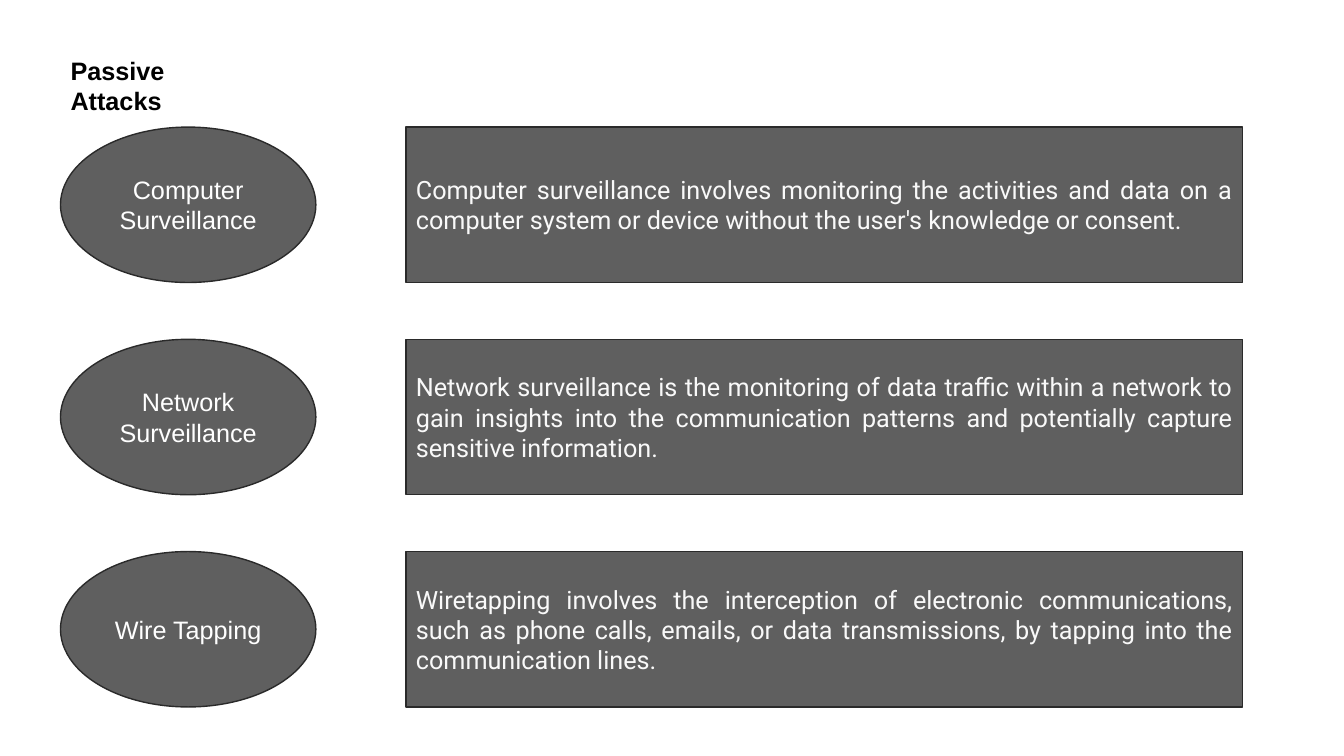
"""Build the Passive Attacks slide: three ellipses, each beside its description."""
from pptx import Presentation
from pptx.dml.color import RGBColor
from pptx.enum import shapes, text
from pptx.util import Pt

BLACK = RGBColor(0x00, 0x00, 0x00)
WHITE = RGBColor(0xFF, 0xFF, 0xFF)
PALE = RGBColor(0xF9, 0xF9, 0xF9)
GREY = RGBColor(0x5F, 0x5F, 0x5F)
DARK = RGBColor(0x2A, 0x2A, 0x2A)

LEFT, TOP, STEP, HIGH = 43.2, 90.8, 151.6, 111

ATTACKS = [
    ("Computer Surveillance",
     "Computer surveillance involves monitoring the activities and data on a "
     "computer system or device without the user's knowledge or consent."),
    ("Network Surveillance",
     "Network surveillance is the monitoring of data traffic within a network to "
     "gain insights into the communication patterns and potentially capture "
     "sensitive information."),
    ("Wire Tapping",
     "Wiretapping involves the interception of electronic communications, such as "
     "phone calls, emails, or data transmissions, by tapping into the "
     "communication lines."),
]


def write(shape, words, face, color, align, anchor):
    frame = shape.text_frame
    frame.text = words
    frame.word_wrap = True
    frame.auto_size = text.MSO_AUTO_SIZE.NONE
    frame.vertical_anchor = anchor
    para = frame.paragraphs[0]
    para.alignment = align
    font = para.runs[0].font
    font.name, font.size, font.color.rgb = face, Pt(18), color
    return font


def block(kind, left, top, width):
    shape = slide.shapes.add_shape(kind, Pt(left), Pt(top), Pt(width), Pt(HIGH))
    shape.shadow.inherit = False
    shape.fill.solid()
    shape.fill.fore_color.rgb = GREY
    shape.line.color.rgb = DARK
    shape.line.width = Pt(1)
    return shape


deck = Presentation()
deck.slide_width, deck.slide_height = Pt(960), Pt(540)
slide = deck.slides.add_slide(deck.slide_layouts[5])

title = slide.shapes.title
title.left, title.top, title.width, title.height = Pt(LEFT), Pt(36), Pt(128), Pt(50)
font = write(title, "Passive Attacks", "Arial", BLACK,
             text.PP_ALIGN.LEFT, text.MSO_ANCHOR.MIDDLE)
font.bold = True

for row, (name, detail) in enumerate(ATTACKS):
    top = TOP + row * STEP
    oval = block(shapes.MSO_SHAPE.OVAL, LEFT, top, 182.4)
    write(oval, name, "Arial", WHITE, text.PP_ALIGN.CENTER, text.MSO_ANCHOR.MIDDLE)
    panel = block(shapes.MSO_SHAPE.RECTANGLE, 290, top, 597.6)
    write(panel, detail, "Roboto", PALE, text.PP_ALIGN.JUSTIFY, text.MSO_ANCHOR.MIDDLE)

deck.save("out.pptx")
